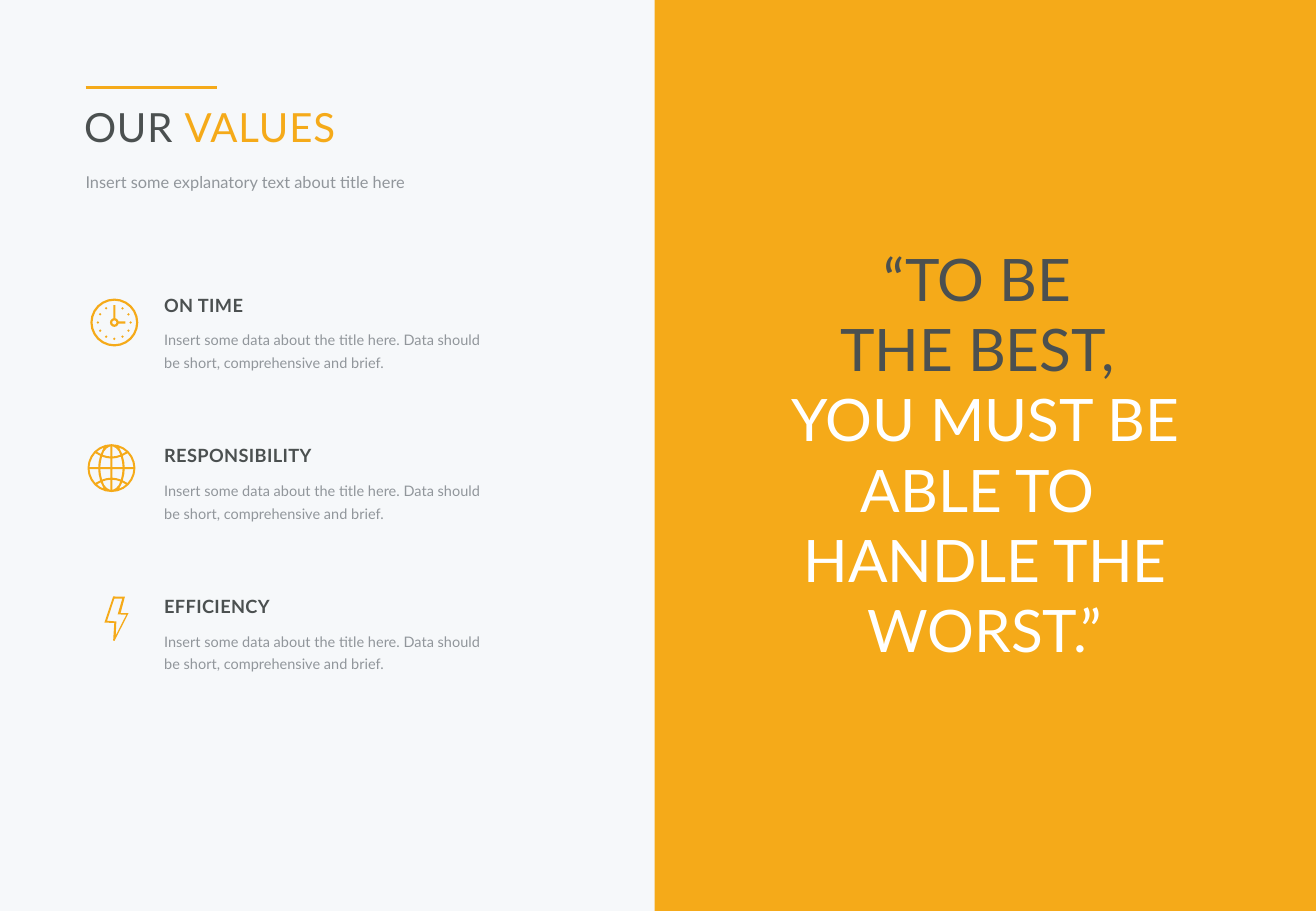
from dataclasses import dataclass
from math import cos, pi, sin

from lxml.etree import SubElement
from pptx import Presentation
from pptx.dml.color import RGBColor
from pptx.enum.shapes import MSO_CONNECTOR, MSO_SHAPE
from pptx.enum.text import MSO_ANCHOR, MSO_AUTO_SIZE, PP_ALIGN
from pptx.oxml.ns import qn
from pptx.util import Pt


@dataclass(frozen=True)
class Theme:
    """Hold the colours, font and type sizes."""
    paper: RGBColor = RGBColor(0xF6, 0xF8, 0xFA)
    gold: RGBColor = RGBColor(0xF5, 0xAA, 0x19)
    dark: RGBColor = RGBColor(0x4B, 0x50, 0x50)
    gray: RGBColor = RGBColor(0x91, 0x96, 0x9B)
    white: RGBColor = RGBColor(0xFF, 0xFF, 0xFF)
    font: str = "Lato"
    quote: float = 34.7
    title: float = 23.8
    head: float = 10.8
    lead: float = 9.7
    body: float = 8.6
    rule: float = 2.25


THEME = Theme()
VALUES = ("ON TIME", "RESPONSIBILITY", "EFFICIENCY")
DETAIL = "Insert some data about the title here. Data should be short, comprehensive and brief."
QUOTE = (
    ("“TO BE ", THEME.dark),
    ("THE BEST, ", THEME.dark),
    ("YOU MUST BE ABLE TO ", THEME.white),
    ("HANDLE THE WORST.”", THEME.white),
)
CELLS = (
    ((0.6, 0.6), (6.6, 0.6), (6.3, 3.5), (5.6, 6.8), (3, 6), (0.6, 5.7)),
    ((7.8, 0.6), (13, 0.6), (12.5, 3.5), (11.3, 6.4), (9.6, 8.8), (8, 8), (6.7, 7.3), (7.6, 3.5)),
    ((0.6, 6.9), (3, 7.2), (5.2, 7.9), (4.4, 9.9), (2.8, 11.8), (0.6, 13)),
    ((6.4, 8.4), (8.6, 9.7), (6.8, 11.1), (4.6, 12.1), (5.6, 10)),
)
BOLT = (
    ((76.2, 363.5), (71.5, 363.5), (74.1, 353.7), (67.1, 353.6),
     (61.9, 369.1), (67.8, 369.3), (67.1, 379.7), (67.9, 379.9)),
    ((68.6, 376.8), (69, 368.4), (63.5, 368), (67.8, 354.9),
     (72.5, 354.9), (69.8, 364.2), (74.9, 364.4)),
)


def style(run, size, color, bold=False, track=0):
    """Format one run, with tracking in points."""
    run.font.name = THEME.font
    run.font.size = Pt(size)
    run.font.bold = bold
    run.font.color.rgb = color
    if track:
        run._r.get_or_add_rPr().set("spc", str(round(track * 100)))


def place(shape, left, top, width, height):
    """Move a text shape and clear its insets."""
    shape.left, shape.top = Pt(left), Pt(top)
    shape.width, shape.height = Pt(width), Pt(height)
    frame = shape.text_frame
    frame.margin_left = frame.margin_right = 0
    frame.margin_top = frame.margin_bottom = 0
    frame.word_wrap = True
    frame.auto_size = MSO_AUTO_SIZE.NONE
    frame.vertical_anchor = MSO_ANCHOR.TOP
    return frame


def add_text(shapes, box, text, size, color, spacing=None, bold=False, track=0):
    """Add a text box of one paragraph."""
    frame = place(shapes.add_textbox(0, 0, 0, 0), *box)
    frame.text = text
    para = frame.paragraphs[0]
    para.line_spacing = spacing
    style(para.runs[0], size, color, bold, track)


def add_rule(shapes, left, right, y):
    """Add the gold rule above the title."""
    rule = shapes.add_connector(MSO_CONNECTOR.STRAIGHT, Pt(left), Pt(y), Pt(right), Pt(y))
    rule.line.color.rgb = THEME.gold
    rule.line.width = Pt(THEME.rule)
    SubElement(rule._element.spPr, qn("a:effectLst"))


def fill(shape):
    """Give a shape a gold fill and no outline."""
    shape.shadow.inherit = False
    shape.fill.solid()
    shape.fill.fore_color.rgb = THEME.gold
    shape.line.fill.background()


def add_icon(shapes, rings):
    """Add one filled shape whose inner rings are holes."""
    spots = [[(Pt(x), Pt(y)) for x, y in ring] for ring in rings]
    path = shapes.build_freeform(*spots[0][0], scale=1.0)
    path.add_line_segments(spots[0][1:])
    for first, *rest in spots[1:]:
        path.move_to(*first)
        path.add_line_segments(rest)
    fill(path.convert_to_shape())


def circle(x, y, radius, count=24):
    """Return points around a circle."""
    turns = [2 * pi * step / count for step in range(count)]
    return [(x + radius * sin(turn), y - radius * cos(turn)) for turn in turns]


def block(left, top, right, bottom):
    """Return the corners of a rectangle."""
    return [(left, top), (right, top), (right, bottom), (left, bottom)]


def clock(x=67.8, y=191.2):
    """Return the rings of the clock icon."""
    face = [circle(x, y, 14.2), circle(x, y, 12.9),
            circle(x, y, 2.6, 12), circle(x, y, 1.3, 8)]
    hands = [block(x - 0.6, y - 10.3, x + 0.6, y - 2.6),
             block(x + 2.6, y - 0.6, x + 6.6, y + 0.6)]
    dots = [circle(*spot, 0.75, 4) for spot in circle(x, y, 9.7, 12)[1:]]
    return face + hands + dots


def globe(x=66.1, y=277.5):
    """Return the rings of the globe icon."""
    holes = [[(x + across * dx, y + down * dy) for dx, dy in cell]
             for cell in CELLS for across in (-1, 1) for down in (-1, 1)]
    return [circle(x, y, 14.2)] + holes


def add_title(slide):
    """Fill the title in two colours."""
    frame = place(slide.shapes.title, 49.8, 60.5, 280, 28.8)
    para = frame.paragraphs[0]
    para.text = "OUR "
    para.alignment = PP_ALIGN.LEFT
    para.add_run().text = "VALUES"
    for run, color in zip(para.runs, (THEME.dark, THEME.gold)):
        style(run, THEME.title, color, track=0.55)


def add_quote(shapes):
    """Add the gold panel and its quote."""
    fill(shapes.add_shape(MSO_SHAPE.RECTANGLE, Pt(388), 0, Pt(392), Pt(540)))
    frame = place(shapes.add_textbox(0, 0, 0, 0), 435.6, 144, 296.6, 252)
    frame.text = "\n".join(text for text, color in QUOTE)
    for para, (text, color) in zip(frame.paragraphs, QUOTE):
        para.alignment = PP_ALIGN.CENTER
        style(para.runs[0], THEME.quote, color)


def main():
    """Build and save the slide."""
    deck = Presentation()
    deck.slide_width, deck.slide_height = Pt(780), Pt(540)
    slide = deck.slides.add_slide(deck.slide_layouts[5])
    slide.background.fill.solid()
    slide.background.fill.fore_color.rgb = THEME.paper
    shapes = slide.shapes

    add_quote(shapes)
    add_rule(shapes, 50.8, 128.8, 51.9)
    add_title(slide)
    add_text(shapes, (50.7, 101.5, 280, 12.2), "Insert some explanatory text about title here",
             THEME.lead, THEME.gray, Pt(12))
    for row, (name, rings) in enumerate(zip(VALUES, (clock(), globe(), BOLT))):
        top = 174.3 + row * 89.3
        add_text(shapes, (97.3, top, 191.5, 13), name, THEME.head, THEME.dark,
                 bold=True, track=0.23)
        add_text(shapes, (97.3, top + 19.1, 191.5, 27.4), DETAIL, THEME.body, THEME.gray, 1.3)
        add_icon(shapes, rings)
    deck.save("out.pptx")


if __name__ == "__main__":
    main()
